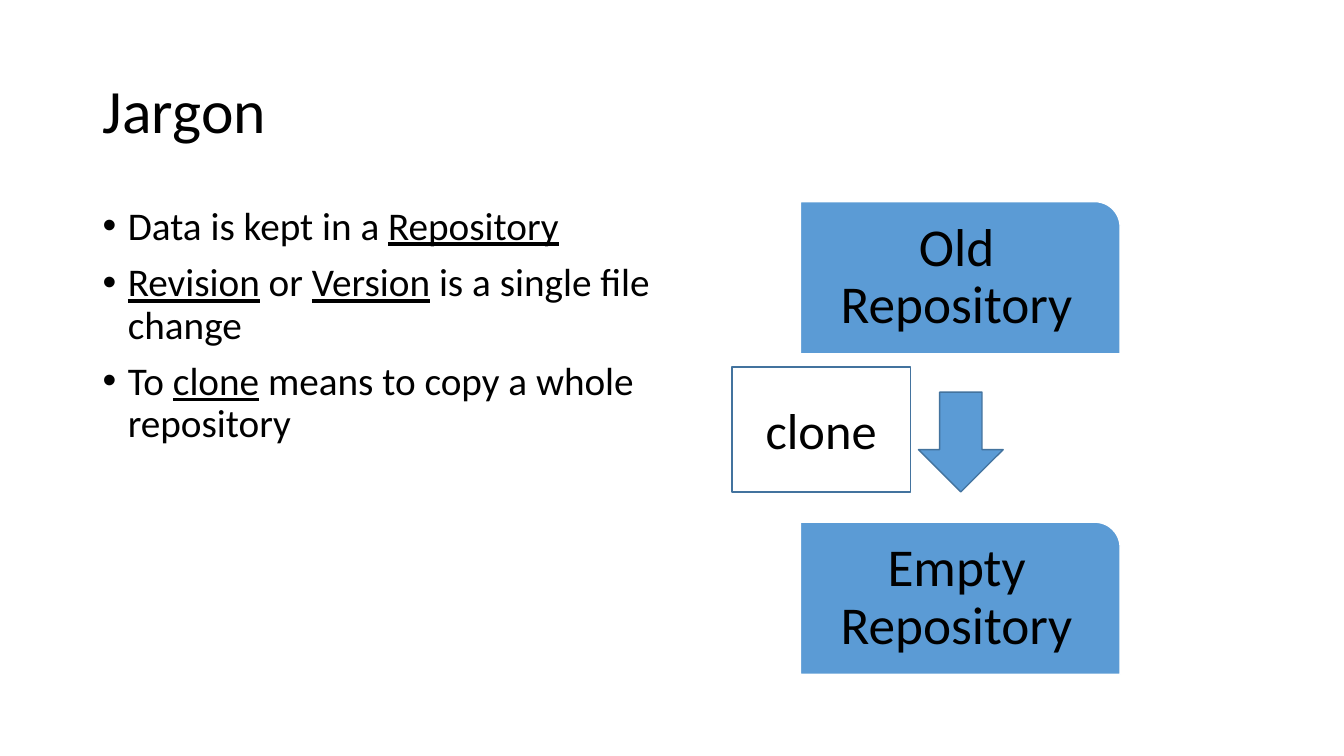
from dataclasses import dataclass

from lxml import etree
from pptx import Presentation
from pptx.dml.color import RGBColor
from pptx.enum.shapes import MSO_SHAPE
from pptx.enum.text import MSO_ANCHOR, MSO_AUTO_SIZE, PP_ALIGN
from pptx.oxml.ns import qn
from pptx.util import Inches, Pt

ROUND_CORNER = MSO_SHAPE.ROUND_1_RECTANGLE
RECTANGLE = MSO_SHAPE.RECTANGLE
DOWN_ARROW = MSO_SHAPE.DOWN_ARROW
MIDDLE, TOP = MSO_ANCHOR.MIDDLE, MSO_ANCHOR.TOP
LEFT, CENTER = PP_ALIGN.LEFT, PP_ALIGN.CENTER
NO_AUTOFIT = MSO_AUTO_SIZE.NONE

BLACK = RGBColor(0x00, 0x00, 0x00)
WHITE = RGBColor(0xFF, 0xFF, 0xFF)
BLUE = RGBColor(0x5B, 0x9B, 0xD5)
DARK_BLUE = RGBColor(0x43, 0x73, 0x9E)
FONT = "Calibri"
MARGIN = 0.92
BULLET_INDENT = Inches(0.25)


@dataclass
class Node:
    kind: int
    left: float
    top: float
    width: float
    height: float
    fill: RGBColor
    line: RGBColor
    label: str = ""
    size: int = 38
    spacing: float = 0.9
    inset: float = 0.16


def style_font(font, size: int) -> None:
    font.name = FONT
    font.size = Pt(size)
    font.color.rgb = BLACK


def draw_node(slide, node: Node) -> None:
    shape = slide.shapes.add_shape(
        node.kind, Inches(node.left), Inches(node.top),
        Inches(node.width), Inches(node.height))
    shape.shadow.inherit = False
    shape.fill.solid()
    shape.fill.fore_color.rgb = node.fill
    shape.line.color.rgb = node.line
    shape.line.width = Pt(1)
    if not node.label:
        return
    frame = shape.text_frame
    frame.word_wrap = True
    frame.vertical_anchor = MIDDLE
    frame.margin_left = frame.margin_right = Inches(node.inset)
    frame.text = node.label
    paragraph = frame.paragraphs[0]
    paragraph.alignment = CENTER
    paragraph.line_spacing = node.spacing
    style_font(paragraph.runs[0].font, node.size)


def add_bullet(paragraph, pieces: list[tuple[str, bool]]) -> None:
    paragraph.alignment = LEFT
    paragraph.line_spacing = 0.9
    paragraph.space_before = Pt(10)
    for wording, is_term in pieces:
        run = paragraph.add_run()
        run.text = wording
        style_font(run.font, 28)
        run.font.underline = is_term
    properties = paragraph._p.get_or_add_pPr()
    properties.set("marL", str(BULLET_INDENT))
    properties.set("indent", str(-BULLET_INDENT))
    etree.SubElement(properties, qn("a:buFont"), typeface="Arial")
    etree.SubElement(properties, qn("a:buChar"), char="•")


presentation = Presentation()
presentation.slide_width = Inches(13.33)
presentation.slide_height = Inches(7.5)
slide = presentation.slides.add_slide(presentation.slide_layouts[5])

# Title
title = slide.shapes.title
title.left, title.top = Inches(MARGIN), Inches(0.4)
title.width, title.height = Inches(11.5), Inches(1.45)
title.text_frame.text = "Jargon"
title.text_frame.vertical_anchor = MIDDLE
title.text_frame.auto_size = NO_AUTOFIT
heading = title.text_frame.paragraphs[0]
heading.alignment = LEFT
heading.line_spacing = 0.9
style_font(heading.runs[0].font, 44)

# Definitions, with the defined terms underlined
DEFINITIONS = [
    [("Data is kept in a ", False), ("Repository", True)],
    [("Revision", True), (" or ", False), ("Version", True),
     (" is a single file change", False)],
    [("To ", False), ("clone", True),
     (" means to copy a whole repository", False)],
]
definitions = slide.shapes.add_textbox(
    Inches(MARGIN), Inches(2), Inches(5.67), Inches(4.76)).text_frame
definitions.word_wrap = True
definitions.vertical_anchor = TOP
for index, pieces in enumerate(DEFINITIONS):
    add_bullet(definitions.add_paragraph() if index
               else definitions.paragraphs[0], pieces)

# Clone diagram
REPOSITORIES = [("Old Repository", 2), ("Empty Repository", 5.18)]
nodes = [Node(ROUND_CORNER, 7.94, top, 3.17, 1.51, BLUE, WHITE, label)
         for label, top in REPOSITORIES]
nodes += [
    Node(DOWN_ARROW, 9.11, 3.89, 0.84, 0.99, BLUE, DARK_BLUE),
    Node(RECTANGLE, 7.26, 3.64, 1.77, 1.24, WHITE, DARK_BLUE,
         "clone", size=36, spacing=1.0, inset=0.1),
]
for node in nodes:
    draw_node(slide, node)

presentation.save("out.pptx")
